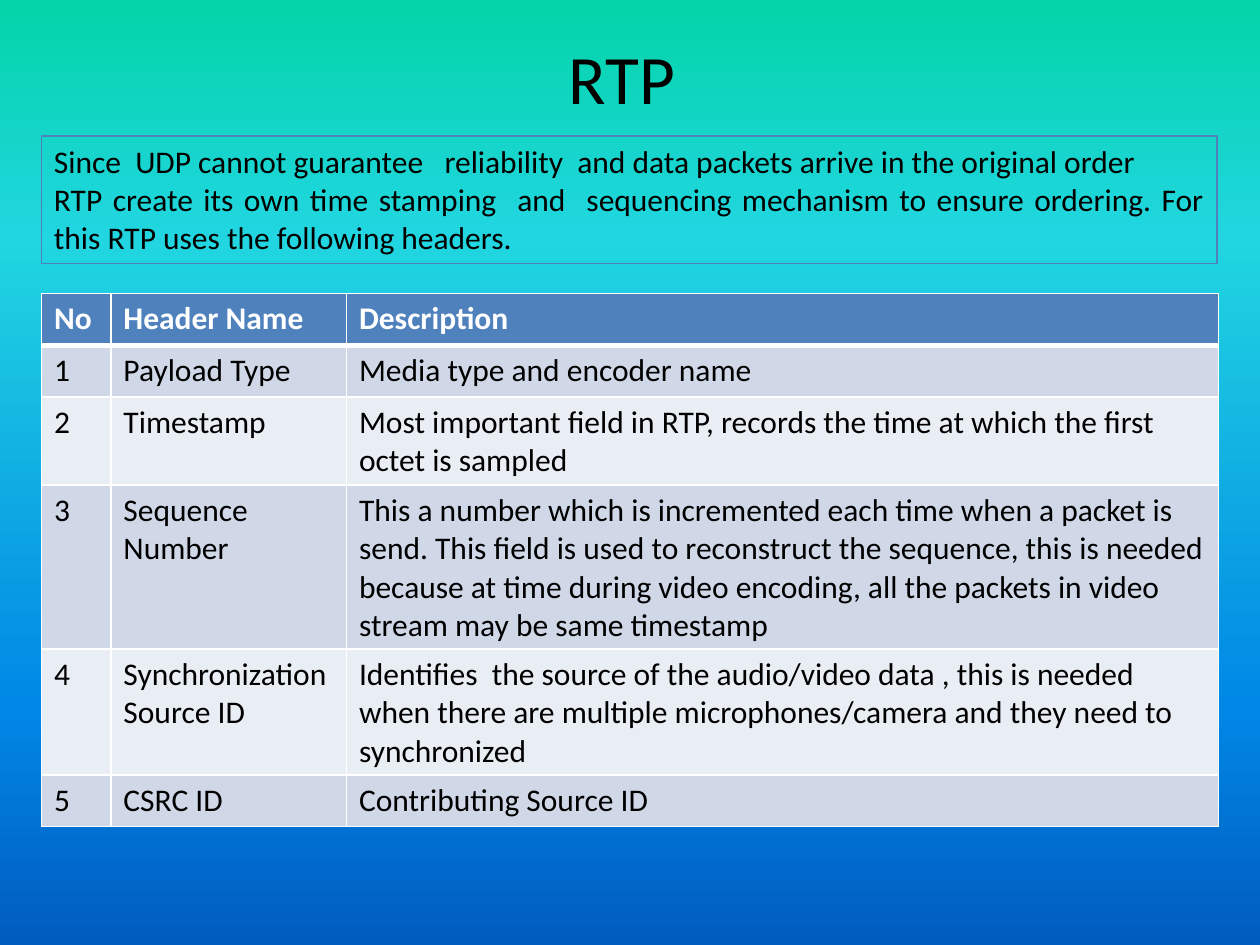
import pptx
import pptx.dml.color
import pptx.enum.text
import pptx.oxml
import pptx.oxml.ns
import pptx.util
from pptx.util import Inches

FONT = "Calibri"
BLACK, WHITE, BLUE = "000000", "FFFFFF", "4F81BD"
BANDS = ("D0D8E8", "E9EDF4")
GRADIENT = ((0, "03D4A8"), (25, "21D6E0"), (75, "0087E6"), (100, "005CBF"))
LEFT, WIDTH = 0.33, 9.33
COLUMN_WIDTHS = (0.55, 1.87, 6.92)
ROW_HEIGHT = 0.41

INTRODUCTION = (
    "Since  UDP cannot guarantee   reliability  and data packets arrive in the original order \n"
    "RTP create its own time stamping  and  sequencing mechanism to ensure ordering. "
    "For this RTP uses the following headers."
)
HEADERS = (
    ("No", "Header Name", "Description"),
    ("1", "Payload Type", "Media type and encoder name"),
    ("2", "Timestamp",
     "Most important field in RTP, records the time at which the first octet is sampled"),
    ("3", "Sequence Number",
     "This a number which is incremented each time when a packet is send. "
     "This field is used to reconstruct the sequence, this is needed because at time "
     "during video encoding, all the packets in video stream may be same timestamp"),
    ("4", "Synchronization Source ID",
     "Identifies  the source of the audio/video data , this is needed when there are "
     "multiple microphones/camera and they need to synchronized"),
    ("5", "CSRC ID", "Contributing Source ID"),
)


def color(hex_string):
    return pptx.dml.color.RGBColor.from_string(hex_string)


def write(text_frame, text, size, text_color=BLACK, bold=False, alignment=None):
    text_frame.text = text
    for paragraph in text_frame.paragraphs:
        paragraph.alignment = alignment
        for run in paragraph.runs:
            run.font.name = FONT
            run.font.size = pptx.util.Pt(size)
            run.font.bold = bold
            run.font.color.rgb = color(text_color)


def set_background(slide):
    fill = slide.background.fill
    fill.gradient()
    fill.gradient_angle = 270
    stops = slide.element.find(".//" + pptx.oxml.ns.qn("a:gsLst"))
    for stop in list(stops):
        stops.remove(stop)
    for percent, stop_color in GRADIENT:
        stops.append(pptx.oxml.parse_xml(
            f'<a:gs {pptx.oxml.ns.nsdecls("a")} pos="{percent * 1000}">'
            f'<a:srgbClr val="{stop_color}"/></a:gs>'))


def add_text_box(slide, top, left, width, height, text, size, alignment):
    box = slide.shapes.add_textbox(Inches(left), Inches(top), Inches(width), Inches(height))
    box.text_frame.word_wrap = True
    write(box.text_frame, text, size, alignment=alignment)
    return box


def set_borders(cell, bottom_width):
    """Draw white lines round a cell; they must come before its fill."""
    properties = cell._tc.get_or_add_tcPr()
    for side, width in (("L", 1), ("R", 1), ("T", 1), ("B", bottom_width)):
        properties.append(pptx.oxml.parse_xml(
            f'<a:ln{side} {pptx.oxml.ns.nsdecls("a")} w="{pptx.util.Pt(width)}">'
            f'<a:solidFill><a:srgbClr val="{WHITE}"/></a:solidFill></a:ln{side}>'))


def add_header_table(slide):
    table = slide.shapes.add_table(
        len(HEADERS), len(COLUMN_WIDTHS), Inches(LEFT), Inches(2.33),
        Inches(WIDTH), Inches(ROW_HEIGHT * len(HEADERS))).table
    for column, width in zip(table.columns, COLUMN_WIDTHS):
        column.width = Inches(width)
    for row_index, texts in enumerate(HEADERS):
        is_heading = row_index == 0
        table.rows[row_index].height = Inches(ROW_HEIGHT)
        for column_index, text in enumerate(texts):
            cell = table.cell(row_index, column_index)
            set_borders(cell, 3 if is_heading else 1)
            cell.fill.solid()
            cell.fill.fore_color.rgb = color(BLUE if is_heading else BANDS[(row_index - 1) % 2])
            write(cell.text_frame, text, 18, WHITE if is_heading else BLACK, is_heading)


def main():
    presentation = pptx.Presentation()
    presentation.slide_width, presentation.slide_height = Inches(10), Inches(7.5)
    slide = presentation.slides.add_slide(presentation.slide_layouts[6])
    set_background(slide)

    align = pptx.enum.text.PP_ALIGN
    title = add_text_box(slide, 0.3, 0.5, 9, 0.62, "RTP ", 39.6, align.CENTER)
    title.text_frame.vertical_anchor = pptx.enum.text.MSO_ANCHOR.MIDDLE

    introduction = add_text_box(slide, 1.08, LEFT, WIDTH, 1.01, INTRODUCTION, 18, align.JUSTIFY)
    introduction.text_frame.auto_size = pptx.enum.text.MSO_AUTO_SIZE.SHAPE_TO_FIT_TEXT
    introduction.line.color.rgb = color(BLUE)
    introduction.line.width = pptx.util.Pt(0.75)

    add_header_table(slide)
    presentation.save("out.pptx")


if __name__ == "__main__":
    main()
